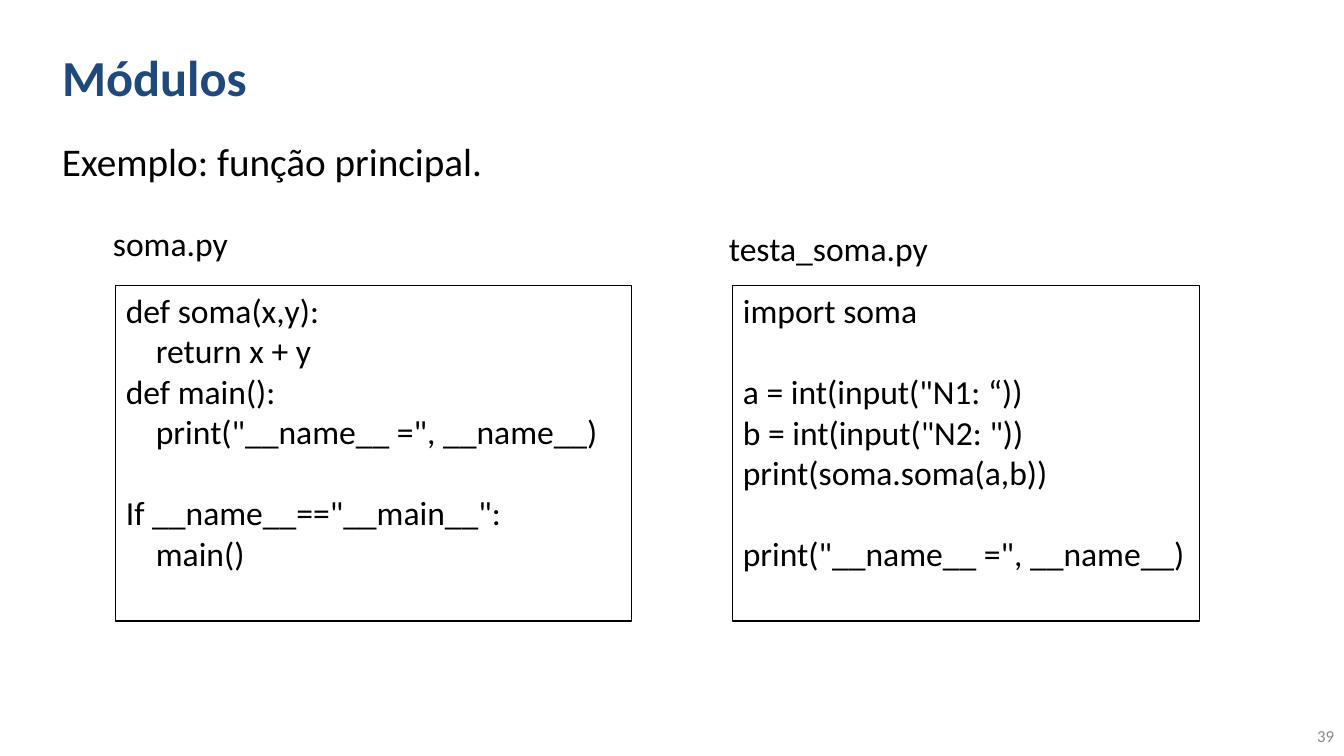
"""Build the slide on modules with two code listings."""
from pptx import Presentation
from pptx.dml.color import RGBColor
from pptx.enum.shapes import MSO_SHAPE
from pptx.enum.text import MSO_ANCHOR, PP_ALIGN
from pptx.util import Pt

NAVY = RGBColor(0x1F, 0x49, 0x7D)
BLACK = RGBColor(0, 0, 0)
GREY = RGBColor(0x8C, 0x8C, 0x8C)
FONT = "Calibri"
SCALE = 914400 / 100.8
INDENT = 30
GAP = 29.3

TITLE = "Módulos"
LEAD = "Exemplo: função principal."
NUMBER = "39"
# (indent level, blank lines before, text)
SOMA = [
    (0, 0, "def soma(x,y):"),
    (1, 0, "return x + y"),
    (0, 0, "def main():"),
    (1, 0, 'print("__name__ =", __name__)'),
    (0, 1, 'If __name__=="__main__":'),
    (1, 0, "main()"),
]
TEST = [
    (0, 0, "import soma"),
    (0, 1, 'a = int(input("N1: “))'),
    (0, 0, 'b = int(input("N2: "))'),
    (0, 0, "print(soma.soma(a,b))"),
    (0, 1, 'print("__name__ =", __name__)'),
]
FILES = [
    ("soma.py", (103, 218, 200, 50), SOMA, (116, 285, 516, 336)),
    ("testa_soma.py", (719, 223, 260, 50), TEST, (733, 285, 467, 336)),
]


def px(*nums):
    return [round(n * SCALE) for n in nums]


def write(shape, lines, size=24, color=BLACK, bold=False,
          align=PP_ALIGN.LEFT, anchor=MSO_ANCHOR.TOP):
    frame = shape.text_frame
    frame.word_wrap = True
    frame.vertical_anchor = anchor
    if isinstance(lines, str):
        lines = [(0, 0, lines)]
    for i, (level, blank, text) in enumerate(lines):
        para = frame.paragraphs[0] if i == 0 else frame.add_paragraph()
        para.alignment = align
        para.space_before = Pt(blank * GAP)
        if level:
            props = para._p.get_or_add_pPr()
            props.set("marL", str(px(level * INDENT)[0]))
        run = para.add_run()
        run.text = text
        font = run.font
        font.name, font.size, font.bold = FONT, Pt(size), bold
        font.color.rgb = color


deck = Presentation()
deck.slide_width, deck.slide_height = px(1344, 756)
slide = deck.slides.add_slide(deck.slide_layouts[5])
shapes = slide.shapes

title = shapes.title
title.left, title.top, title.width, title.height = px(52, 13, 1066, 126)
write(title, TITLE, size=36, color=NAVY, bold=True, anchor=MSO_ANCHOR.MIDDLE)
write(shapes.add_textbox(*px(52, 132, 1230, 124)), LEAD, size=28)
write(shapes.add_textbox(*px(1109, 716, 235, 40)), NUMBER, size=12,
      color=GREY, align=PP_ALIGN.RIGHT, anchor=MSO_ANCHOR.MIDDLE)

for name, spot, code, area in FILES:
    box = shapes.add_shape(MSO_SHAPE.RECTANGLE, *px(*area))
    box.shadow.inherit = False
    box.fill.background()
    box.line.color.rgb = BLACK
    box.line.width = Pt(0.75)
    write(box, code)
    write(shapes.add_textbox(*px(*spot)), name)

deck.save("out.pptx")
